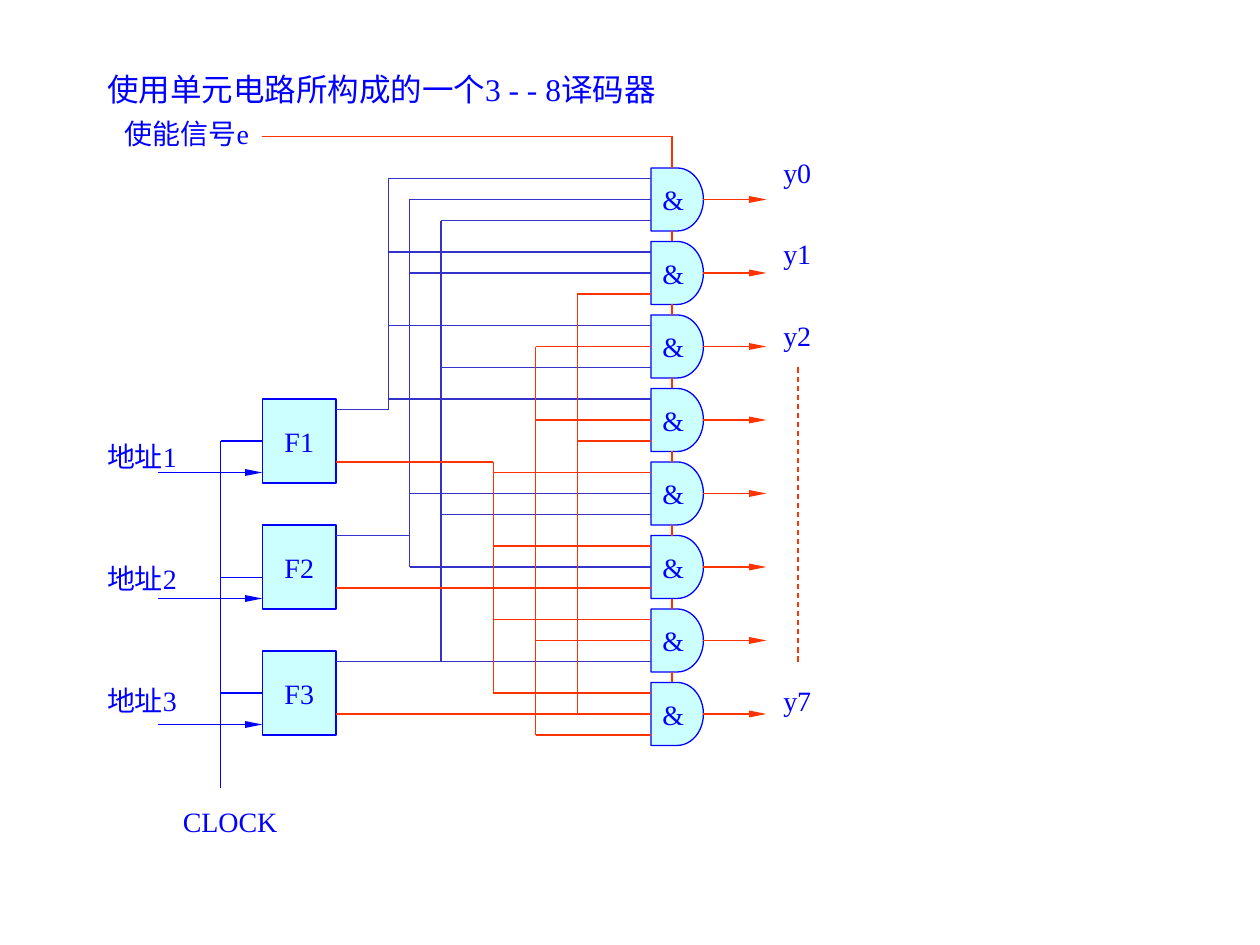
"""Build a slide showing a 3-to-8 decoder made of flip-flops and AND gates."""
from lxml import etree
from pptx import Presentation
from pptx.dml.color import RGBColor
from pptx.enum import dml, shapes, text
from pptx.oxml.ns import qn
from pptx.util import Pt

BLUE = RGBColor(0x00, 0x00, 0xFF)
INDIGO = RGBColor(0x33, 0x33, 0xCC)
RED = RGBColor(0xFF, 0x33, 0x00)
CYAN = RGBColor(0xCC, 0xFF, 0xFF)
FONT = "Times New Roman"

LABELS = [
    ("使用单元电路所构成的一个3 - - 8译码器", 61.2, 51, 18),
    ("使能信号e", 71.4, 76.3, 16),
    ("y0", 447.6, 98.6, 16),
    ("y1", 447.6, 144.9, 16),
    ("y2", 447.6, 191.6, 16),
    ("y7", 447.6, 400.3, 16),
    ("地址1", 61.2, 260.9, 16),
    ("地址2", 61.2, 330.6, 16),
    ("地址3", 61.2, 400.3, 16),
    ("CLOCK", 104.5, 469.5, 16),
]
FLIP_FLOPS = [("F1", 252), ("F2", 330), ("F3", 396)]
BUSES = {
    "1": (222, 234, INDIGO),
    "2": (234, 306, INDIGO),
    "3": (252, 378, INDIGO),
    "a": (282, 264, RED),
    "b": (306, 336, RED),
    "c": (330, 408, RED),
}
GATE_INPUTS = ["123", "12c", "1b3", "1bc", "a23", "a2b", "ab3", "acb"]

FLOP_LEFT, FLOP_TOP, FLOP_WIDTH, FLOP_HEIGHT, FLOP_STEP = 150, 228, 42, 48, 72
GATE_LEFT, GATE_TOP, GATE_WIDTH, GATE_HEIGHT, GATE_STEP = 372, 96, 30, 36, 42
CLOCK_X, CLOCK_BOTTOM = 126, 450
ENABLE_X, ENABLE_Y = 384, 78

deck = Presentation()
deck.slide_width, deck.slide_height = Pt(720), Pt(540)
page = deck.slides.add_slide(deck.slide_layouts[6])


def write(frame, words, size=16, align=text.PP_ALIGN.LEFT):
    frame.word_wrap = False
    frame.vertical_anchor = text.MSO_ANCHOR.MIDDLE
    para = frame.paragraphs[0]
    para.alignment = align
    span = para.add_run()
    span.text = words
    span.font.name, span.font.size = FONT, Pt(size)
    span.font.color.rgb = BLUE


def add_label(words, left, middle, size):
    height = 24
    box = page.shapes.add_textbox(Pt(left), Pt(middle - height / 2), Pt(len(words) * size), Pt(height))
    frame = box.text_frame
    frame.margin_left = frame.margin_right = frame.margin_top = frame.margin_bottom = 0
    write(frame, words, size=size)


def add_block(words, kind, left, top, width, height):
    block = page.shapes.add_shape(kind, Pt(left), Pt(top), Pt(width), Pt(height))
    block.shadow.inherit = False
    block.fill.solid()
    block.fill.fore_color.rgb = CYAN
    block.line.color.rgb, block.line.width = BLUE, Pt(0.75)
    write(block.text_frame, words, align=text.PP_ALIGN.CENTER)


def add_wire(x1, y1, x2, y2, color, arrow=False, dashed=False):
    wire = page.shapes.add_connector(shapes.MSO_CONNECTOR.STRAIGHT, Pt(x1), Pt(y1), Pt(x2), Pt(y2))
    wire.line.color.rgb, wire.line.width = color, Pt(0.75)
    if dashed:
        wire.line.dash_style = dml.MSO_LINE.DASH
    properties = wire._element.spPr
    if arrow:
        outline = properties.find(qn("a:ln"))
        etree.SubElement(outline, qn("a:tailEnd"), type="triangle", w="sm", len="lg")
    etree.SubElement(properties, qn("a:effectLst"))


for label in LABELS:
    add_label(*label)

add_wire(CLOCK_X, FLIP_FLOPS[0][1], CLOCK_X, CLOCK_BOTTOM, BLUE)
for row, (name, clock_y) in enumerate(FLIP_FLOPS):
    top = FLOP_TOP + row * FLOP_STEP
    add_block(name, shapes.MSO_SHAPE.RECTANGLE, FLOP_LEFT, top, FLOP_WIDTH, FLOP_HEIGHT)
    add_wire(CLOCK_X, clock_y, FLOP_LEFT, clock_y, BLUE)
    add_wire(90, top + 42, FLOP_LEFT, top + 42, BLUE, arrow=True)

add_wire(FLOP_LEFT, ENABLE_Y, ENABLE_X, ENABLE_Y, RED)
enable_from = ENABLE_Y
taps = {key: [source_y] for key, (_, source_y, _) in BUSES.items()}
for row, inputs in enumerate(GATE_INPUTS):
    top = GATE_TOP + row * GATE_STEP
    middle = top + GATE_HEIGHT / 2
    right = GATE_LEFT + GATE_WIDTH
    add_block("&", shapes.MSO_SHAPE.FLOWCHART_DELAY, GATE_LEFT, top, GATE_WIDTH, GATE_HEIGHT)
    add_wire(ENABLE_X, enable_from, ENABLE_X, top, RED)
    enable_from = top + GATE_HEIGHT
    add_wire(right, middle, right + 36, middle, RED, arrow=True)
    for pin, key in enumerate(inputs):
        bus_x, _, color = BUSES[key]
        pin_y = top + 6 + 12 * pin
        add_wire(bus_x, pin_y, GATE_LEFT, pin_y, color)
        taps[key].append(pin_y)

for key, (bus_x, source_y, color) in BUSES.items():
    add_wire(FLOP_LEFT + FLOP_WIDTH, source_y, bus_x, source_y, color)
    add_wire(bus_x, min(taps[key]), bus_x, max(taps[key]), color)

add_wire(456, 210, 456, 378, RED, dashed=True)
deck.save("out.pptx")
